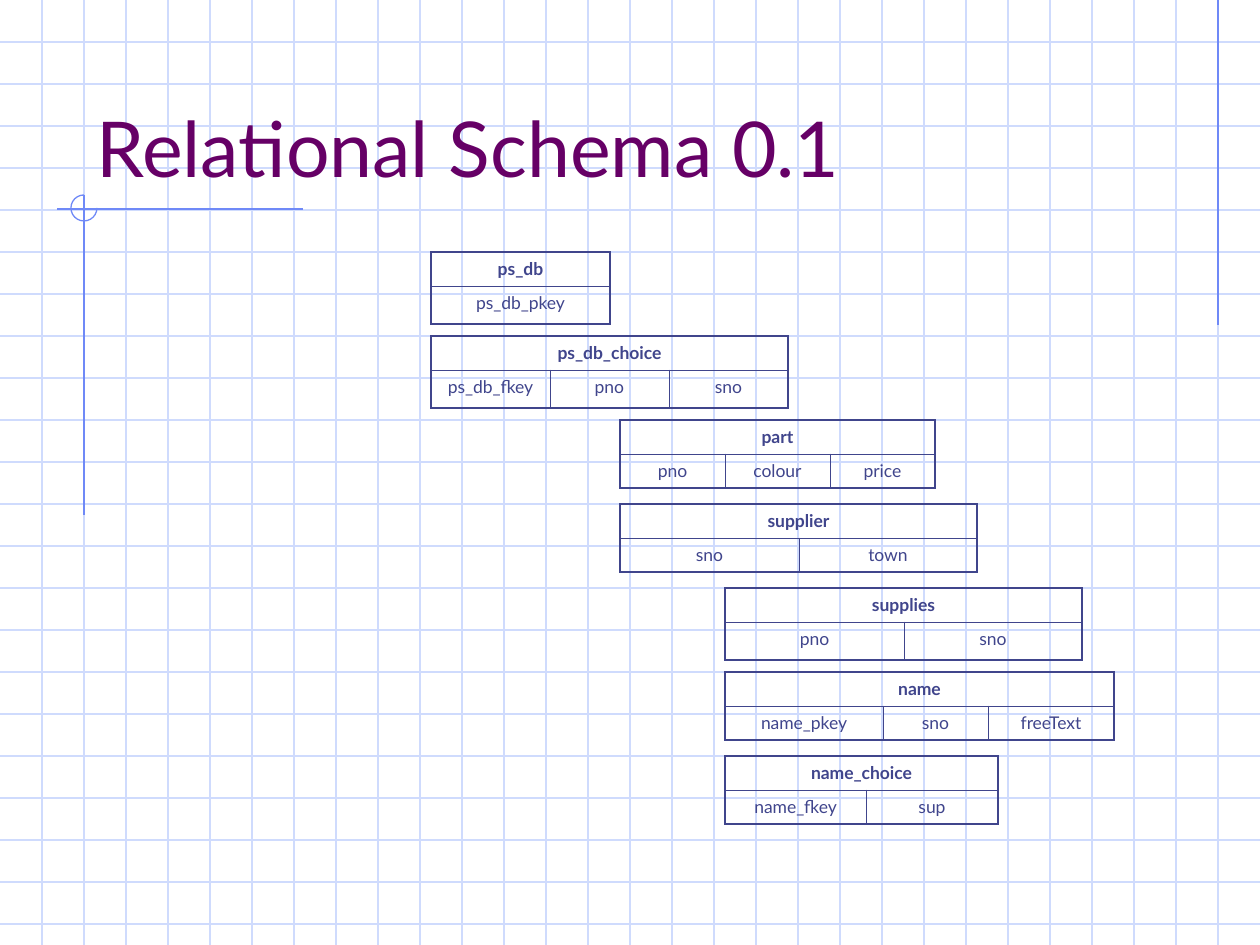
"""Build the Relational Schema 0.1 slide: table outlines over a square grid."""
from lxml.etree import SubElement
from pptx import Presentation
from pptx.dml.color import RGBColor
from pptx.enum.shapes import MSO_CONNECTOR as CONNECTOR, MSO_SHAPE as SHAPE
from pptx.enum.text import MSO_ANCHOR as ANCHOR, PP_ALIGN as ALIGN
from pptx.oxml.ns import qn
from pptx.util import Emu, Pt

PX = 914400 / 126
WIDTH, HEIGHT, GRID = 1260, 945, 42
COLORS = {"grid": "CFDBFD", "accent": "6F89F7", "title": "660066", "schema": "40458C"}
THICK, THIN = 1.08, 0.45
HEADER_HEIGHT, FIRST_TOP, TABLE_STEP = 34, 252, 84


def emu(*lengths):
    return [Emu(round(length * PX)) for length in lengths]


def write(frame, text, size=10, color="schema", bold=False, align=ALIGN.CENTER):
    paragraph = frame.paragraphs[0]
    paragraph.alignment = align
    run = paragraph.add_run()
    run.text = text
    run.font.name = "Lato"
    run.font.size = Pt(size)
    run.font.bold = bold
    run.font.color.rgb = RGBColor.from_string(COLORS[color])


prs = Presentation()
prs.slide_width, prs.slide_height = emu(WIDTH, HEIGHT)
slide = prs.slides.add_slide(prs.slide_layouts[6])

rules = [(0, y, WIDTH, y, "grid") for y in range(GRID, HEIGHT, GRID)]
rules += [(x, 0, x, HEIGHT, "grid") for x in range(GRID, WIDTH, GRID)]
rules += [
    (1218, 0, 1218, 325, "accent"),
    (303, 209, 57, 209, "accent"),
    (84, 195, 84, 515, "accent"),
]
for *ends, color in rules:
    rule = slide.shapes.add_connector(CONNECTOR.STRAIGHT, *emu(*ends))
    rule.line.color.rgb = RGBColor.from_string(COLORS[color])
    rule.line.width = Pt(0.75)
    SubElement(rule._element.spPr, qn("a:effectLst"))

corner_arc = slide.shapes.add_shape(SHAPE.ARC, *emu(71, 195, 26, 26))
corner_arc.adjustments[0] = 0
corner_arc.adjustments[1] = 162
corner_arc.shadow.inherit = False
corner_arc.fill.background()
corner_arc.line.color.rgb = RGBColor.from_string(COLORS["accent"])
corner_arc.line.width = Pt(0.75)

title = slide.shapes.add_textbox(*emu(84, 42, 1071, 157)).text_frame
title.word_wrap = True
title.vertical_anchor = ANCHOR.BOTTOM
write(title, "Relational Schema 0.1", size=44, color="title", align=ALIGN.LEFT)

relations = [
    ("ps_db", 431, 38, {"ps_db_pkey": 179}),
    ("ps_db_choice", 431, 38, {"ps_db_fkey": 119, "pno": 119, "sno": 119}),
    ("part", 620, 34, {"pno": 105, "colour": 105, "price": 105}),
    ("supplier", 620, 34, {"sno": 179, "town": 178}),
    ("supplies", 725, 38, {"pno": 179, "sno": 178}),
    ("name", 725, 34, {"name_pkey": 158, "sno": 105, "freeText": 126}),
    ("name_choice", 725, 34, {"name_fkey": 141, "sup": 132}),
]
for index, (relation, left, field_height, fields) in enumerate(relations):
    box = emu(left, FIRST_TOP + index * TABLE_STEP, sum(fields.values()), HEADER_HEIGHT + field_height)
    table = slide.shapes.add_table(2, len(fields), *box).table
    table.first_row = table.horz_banding = False
    table.rows[0].height, table.rows[1].height = emu(HEADER_HEIGHT, field_height)
    last = len(fields) - 1
    header = table.cell(0, 0)
    if last:
        header.merge(table.cell(0, last))
    write(header.text_frame, relation, bold=True)
    for col, (field, width) in enumerate(fields.items()):
        table.columns[col].width = emu(width)[0]
        write(table.cell(1, col).text_frame, field)
        for row in range(2):
            cell = table.cell(row, col)
            borders = {
                "a:lnL": THICK if row == 0 or col == 0 else THIN,
                "a:lnR": THICK if row == 0 or col == last else THIN,
                "a:lnT": THICK if row == 0 else THIN,
                "a:lnB": THIN if row == 0 else THICK,
            }
            properties = cell._tc.get_or_add_tcPr()
            for side, weight in borders.items():
                border = SubElement(properties, qn(side), w=str(Pt(weight)))
                fill = SubElement(border, qn("a:solidFill"))
                SubElement(fill, qn("a:srgbClr"), val=COLORS["schema"])
            cell.fill.background()

prs.save("out.pptx")
